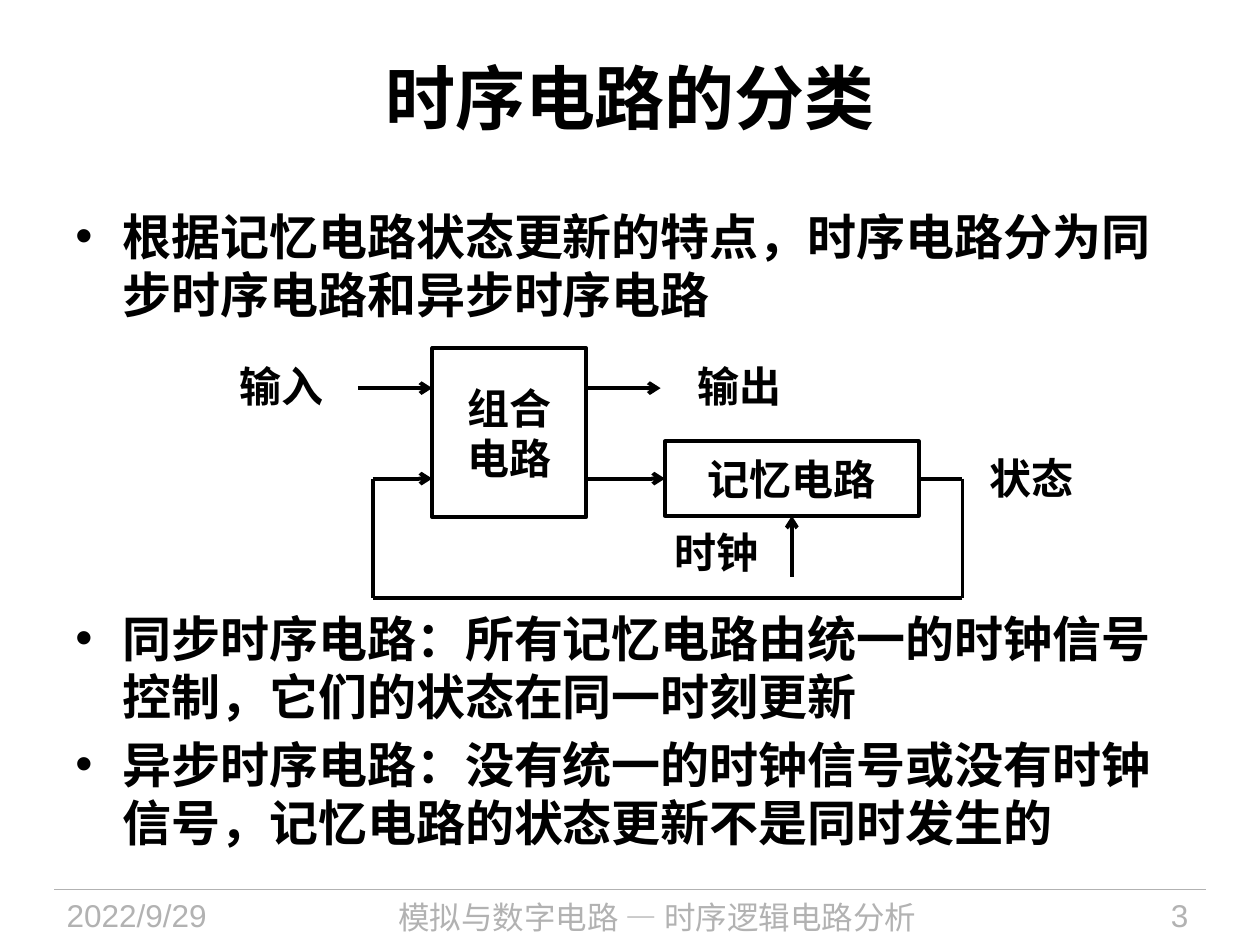
from lxml import etree
from pptx import Presentation
from pptx.dml.color import RGBColor
from pptx.enum.shapes import MSO_CONNECTOR as Connector, MSO_SHAPE as Shape
from pptx.enum.text import MSO_ANCHOR as Anchor, PP_ALIGN as Align
from pptx.oxml.ns import qn
from pptx.util import Pt

BLACK, GREY = "000000", "B2B2B2"
CJK_FONT = "Noto Sans CJK SC"

deck = Presentation()
deck.slide_width, deck.slide_height = Pt(720), Pt(540)
slide = deck.slides.add_slide(deck.slide_layouts[6])
shapes = slide.shapes


def write(box, text, size=24, font="Times New Roman", color=BLACK, bold=True,
          align=Align.CENTER, anchor=Anchor.MIDDLE, inset=(0, 0), wrap=True,
          leading=None, after=0, bullet=False):
    """Fill box with one paragraph per line of text; inset is (sides, top and bottom)."""
    frame = box.text_frame
    frame.word_wrap = wrap
    frame.vertical_anchor = anchor
    frame.margin_left = frame.margin_right = Pt(inset[0])
    frame.margin_top = frame.margin_bottom = Pt(inset[1])
    for index, line in enumerate(text.split("\n")):
        para = frame.add_paragraph() if index else frame.paragraphs[0]
        para.alignment = align
        para.space_after = Pt(after)
        if leading:
            para.line_spacing = Pt(leading)
        if bullet:
            props = para._p.get_or_add_pPr()
            props.set("marL", str(Pt(27)))
            props.set("indent", str(Pt(-27)))
            etree.SubElement(props, qn("a:buFont")).set("typeface", "Arial")
            etree.SubElement(props, qn("a:buChar")).set("char", "•")
        span = para.add_run()
        span.text = line
        span.font.size, span.font.bold, span.font.name = Pt(size), bold, font
        span.font.color.rgb = RGBColor.from_string(color)
        etree.SubElement(span._r.get_or_add_rPr(), qn("a:ea")).set("typeface", CJK_FONT)


def connect(start, end, color=BLACK, width=2.25, arrow=False):
    line = shapes.add_connector(Connector.STRAIGHT, *map(Pt, start + end))
    line.line.color.rgb = RGBColor.from_string(color)
    line.line.width = Pt(width)
    if arrow:
        etree.SubElement(line.line._get_or_add_ln(), qn("a:tailEnd")).set("type", "arrow")
    etree.SubElement(line._element.spPr, qn("a:effectLst"))
    return line


# Footer
connect((31, 508.3), (689, 508.3), color=GREY, width=0.75)
for left, width, text, font, align, leading in (
    (31, 135.4, "2022/9/29", "Arial", Align.LEFT, None),
    (172.8, 405.4, "模拟与数字电路 — 时序逻辑电路分析", CJK_FONT, Align.CENTER, 23),
    (590.4, 95.8, "3", "Arial", Align.RIGHT, None),
):
    footer = shapes.add_textbox(Pt(left), Pt(508.3), Pt(width), Pt(31.7))
    write(footer, text, size=18, font=font, color=GREY, bold=False, align=align,
          anchor=Anchor.TOP, inset=(7.2, 3.6), leading=leading)

# Title and bullets, above and below the diagram
title = shapes.add_textbox(Pt(36), Pt(10), Pt(648), Pt(90))
write(title, "时序电路的分类", size=40, inset=(7.2, 3.6))

for top, height, text in (
    (115, 80, "根据记忆电路状态更新的特点，时序电路分为同步时序电路和异步时序电路"),
    (344.7, 155, "同步时序电路：所有记忆电路由统一的时钟信号控制，它们的状态在同一时刻更新\n"
                 "异步时序电路：没有统一的时钟信号或没有时钟信号，记忆电路的状态更新不是同时发生的"),
):
    body = shapes.add_textbox(Pt(36), Pt(top), Pt(648), Pt(height))
    write(body, text, size=28, align=Align.LEFT, anchor=Anchor.TOP,
          inset=(7.2, 3.6), leading=33.2, after=5.6, bullet=True)

# Circuit blocks
blocks = []
for left, top, width, height, text, leading in (
    (247, 199, 88, 96.5, "组合\n电路", 28.5),
    (380, 252.25, 145, 42.5, "记忆电路", None),
):
    block = shapes.add_shape(Shape.RECTANGLE, Pt(left), Pt(top), Pt(width), Pt(height))
    block.shadow.inherit = False
    block.fill.background()
    block.line.color.rgb = RGBColor.from_string(BLACK)
    block.line.width = Pt(2.25)
    write(block, text, font="Arial", wrap=False, leading=leading)
    blocks.append(block)
combination, memory = blocks

# Signals
input_y, state_y, feedback_y = 221.8, 273.5, 341.5
feedback_left, feedback_right = 213, 550
connect((204.5, input_y), (247, input_y), arrow=True)
connect((335, input_y), (377.5, input_y), arrow=True)
connect((335, state_y), (380, state_y), arrow=True).end_connect(memory, 1)
connect((452.5, 329.5), (452.5, 294.75), arrow=True).end_connect(memory, 2)

# Feedback loop from the memory back to the combinational block
connect((525, state_y), (feedback_right, state_y)).begin_connect(memory, 3)
connect((feedback_right, state_y), (feedback_right, feedback_y))
connect((feedback_right, feedback_y), (feedback_left, feedback_y))
connect((feedback_left, feedback_y), (feedback_left, state_y))
connect((feedback_left, state_y), (247, state_y), arrow=True)

# Signal names
for left, top, width, text in (
    (113.8, 206, 93.6, "输入"),
    (377.3, 206, 90.7, "输出"),
    (371.5, 301, 76.3, "时钟"),
    (544.3, 258.5, 90.7, "状态"),
):
    label = shapes.add_textbox(Pt(left), Pt(top), Pt(width), Pt(28.8))
    write(label, text)

deck.save("out.pptx")
